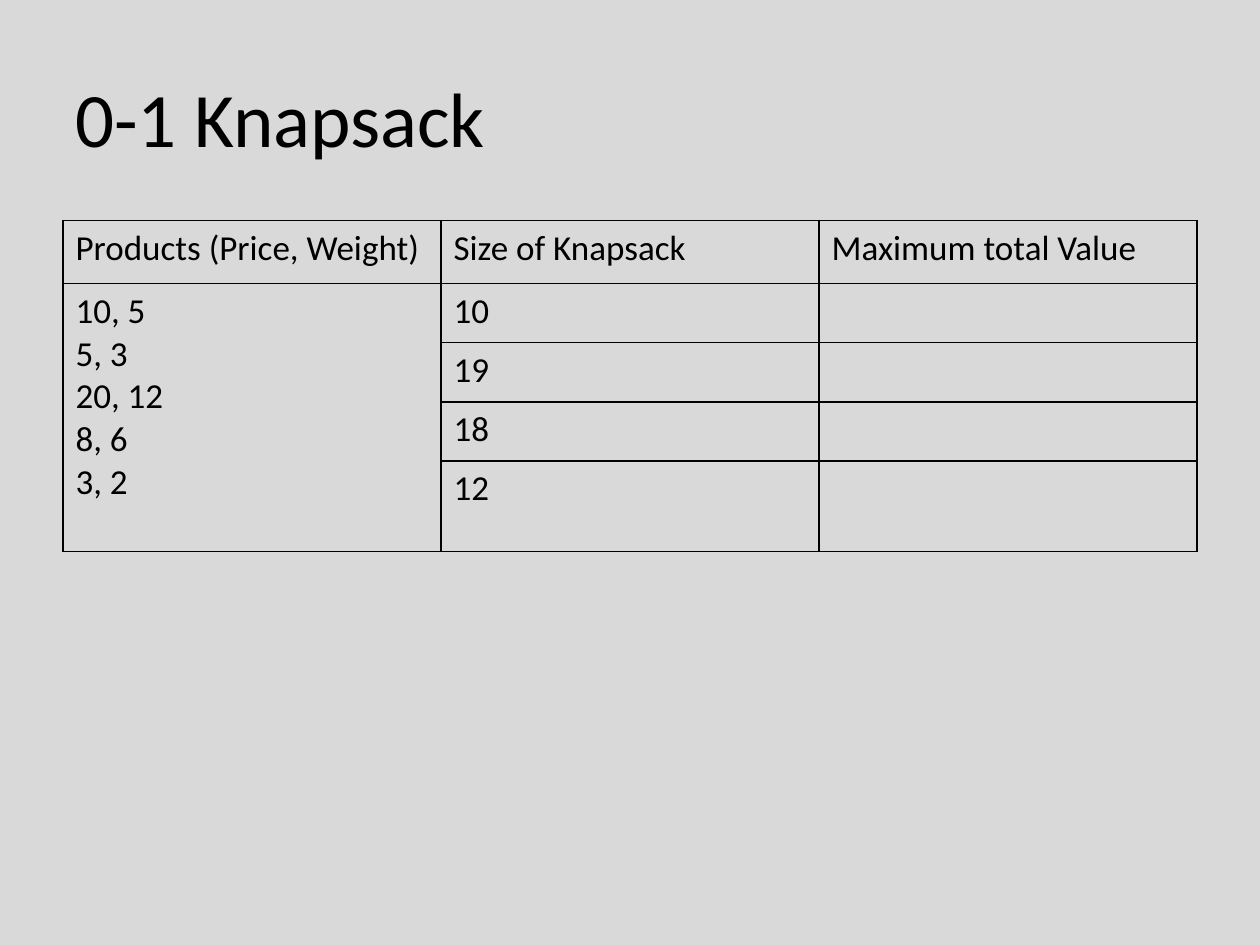
"""Build the 0-1 Knapsack exercise slide with its table of products and sizes."""
from lxml import etree
from pptx import Presentation
from pptx.dml.color import RGBColor
from pptx.enum import text
from pptx.oxml import ns
from pptx.util import Inches, Pt

THEME = {
    "font": "Calibri",
    "ink": "000000",
    "background": "D9D9D9",
    "title_size": 44,
    "table_size": 20,
    "border": 1,
}
HEADINGS = ["Products (Price, Weight)", "Size of Knapsack", "Maximum total Value"]
PRODUCTS = ["10, 5", "5, 3", "20, 12", "8, 6", "3, 2"]
SIZES = ["10", "19", "18", "12"]
COLUMN_WIDTH = 3
ROW_HEIGHTS = [0.5, 0.47, 0.47, 0.47, 0.72]


def write(frame, words, size):
    frame.text = words
    font_format = {"name": THEME["font"], "size": Pt(size)}
    for para in frame.paragraphs:
        for name, value in font_format.items():
            setattr(para.font, name, value)
        for span in para.runs:
            for name, value in font_format.items():
                setattr(span.font, name, value)
            span.font.color.rgb = RGBColor.from_string(THEME["ink"])


def add_borders(cell):
    properties = cell._tc.get_or_add_tcPr()
    for position, side in enumerate(["lnL", "lnR", "lnT", "lnB"]):
        line = etree.Element(ns.qn(f"a:{side}"), w=str(Pt(THEME["border"])))
        fill = etree.SubElement(line, ns.qn("a:solidFill"))
        etree.SubElement(fill, ns.qn("a:srgbClr"), val=THEME["ink"])
        properties.insert(position, line)


deck = Presentation()
deck.slide_width, deck.slide_height = Inches(10), Inches(7.5)
page = deck.slides.add_slide(deck.slide_layouts[6])
page.background.fill.solid()
page.background.fill.fore_color.rgb = RGBColor.from_string(THEME["background"])

title = page.shapes.add_textbox(Inches(0.5), Inches(0.3), Inches(9), Inches(1.25))
title_format = {"word_wrap": True, "vertical_anchor": text.MSO_ANCHOR.MIDDLE}
for name, value in title_format.items():
    setattr(title.text_frame, name, value)
write(title.text_frame, "0-1 Knapsack", THEME["title_size"])

rows = [HEADINGS] + [["", size, ""] for size in SIZES]
rows[1][0] = "\n".join(PRODUCTS)
table = page.shapes.add_table(
    len(rows), len(HEADINGS), Inches(0.5), Inches(1.75),
    Inches(COLUMN_WIDTH * len(HEADINGS)), Inches(sum(ROW_HEIGHTS)),
).table
for name in ["first_row", "horz_banding"]:
    setattr(table, name, False)
for column in table.columns:
    column.width = Inches(COLUMN_WIDTH)
for row, height in zip(table.rows, ROW_HEIGHTS):
    row.height = Inches(height)

for row, values in zip(table.rows, rows):
    for cell, words in zip(row.cells, values):
        write(cell.text_frame, words, THEME["table_size"])
        cell.fill.background()
        add_borders(cell)
table.cell(1, 0).merge(table.cell(len(SIZES), 0))

deck.save("out.pptx")
